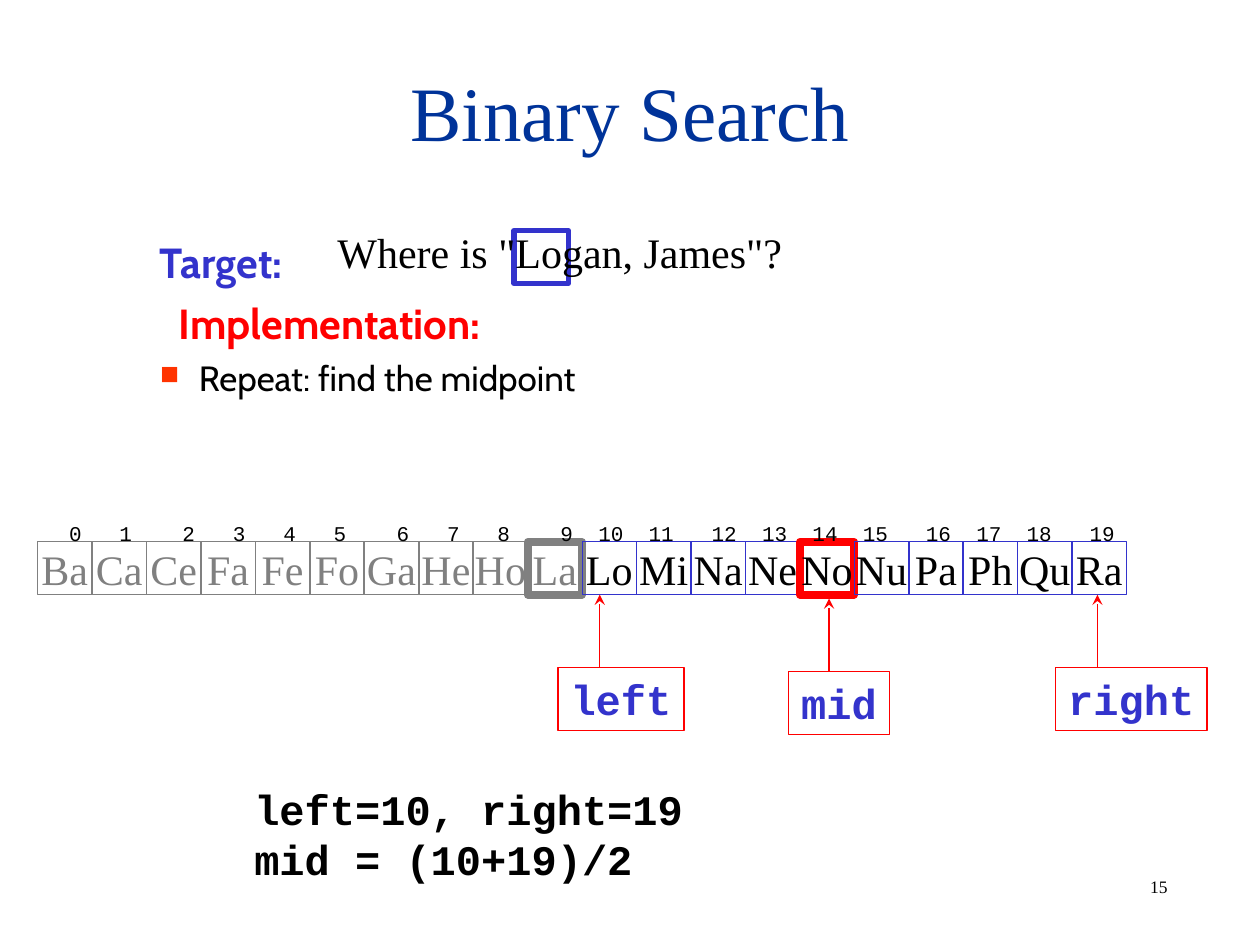
from lxml.etree import SubElement
from pptx import Presentation
from pptx.dml.color import RGBColor
from pptx.enum.shapes import MSO_CONNECTOR, MSO_SHAPE
from pptx.enum.text import MSO_ANCHOR, MSO_AUTO_SIZE, PP_ALIGN
from pptx.oxml.ns import qn
from pptx.util import Inches, Pt

COLORS = {"title": "003399", "blue": "3333CC", "red": "FF0000",
          "gray": "808080", "black": "000000", "bullet": "FF3300"}
SERIF, MONO, SANS = "Times New Roman", "Courier New", "Cabin"

NAMES = ["Ba", "Ca", "Ce", "Fa", "Fe", "Fo", "Ga", "He", "Ho", "La",
         "Lo", "Mi", "Na", "Ne", "No", "Nu", "Pa", "Ph", "Qu", "Ra"]
LEFT, MID, PREVIOUS_MID = 10, 14, 9
# Column of each index label, counted in characters of the fixed-width font
INDEX_COLUMNS = [0, 4, 9, 13, 17, 21, 26, 30, 34, 39,
                 42, 46, 51, 55, 59, 63, 68, 72, 76, 81]
CHARACTER_WIDTH = 0.1
CELL_LEFT, CELL_TOP, CELL_PITCH = 0.3, 4.3, 8.21 / 19
CELL_WIDTH, CELL_HEIGHT = 0.43, 0.42
# Label, box left, box top, box width, arrow x
POINTERS = [("left", 4.43, 5.3, 1.0, 4.76),
            ("right", 8.38, 5.3, 1.2, 8.71),
            ("mid", 6.26, 5.33, 0.8, 6.58)]
ARROW_LENGTH = 0.58
# Text, size, colour, bold, first line indent, space before
OUTLINE = [("Target:", 24, "blue", True, -0.31, 6),
           ("Implementation:", 24, "red", True, -0.16, 6),
           ("Repeat: find the midpoint", 20, "black", False, -0.31, 5)]
# Text lines, position and size, point size, font, bold
NOTES = [(['Where is "Logan, James"?'], (2.58, 1.75, 3.81, 0.5), 24, SERIF, False),
         (["left=10, right=19", "mid = (10+19)/2"], (1.92, 6.17, 3.6, 0.9), 24, MONO, True),
         (["15"], (9.03, 6.9, 0.78, 0.27), 10, SERIF, False)]


def rgb(color):
    return RGBColor.from_string(COLORS[color])


def add_run(paragraph, text, size, font, color, bold=False):
    run = paragraph.add_run()
    run.text = text
    run.font.size = Pt(size)
    run.font.name = font
    run.font.bold = bold
    run.font.color.rgb = rgb(color)


def add_box(slide, place, color, width):
    """Add an unfilled, outlined rectangle."""
    shape = slide.shapes.add_shape(MSO_SHAPE.RECTANGLE, *map(Inches, place))
    shape.shadow.inherit = False
    shape.fill.background()
    shape.line.color.rgb = rgb(color)
    shape.line.width = Pt(width)
    return shape


def add_text_box(slide, place, wrap=False):
    frame = slide.shapes.add_textbox(*map(Inches, place)).text_frame
    frame.word_wrap = wrap
    return frame


def add_title(slide):
    title = slide.shapes.title
    title.left, title.top, title.width, title.height = map(Inches, (0.75, 0.25, 8.5, 1.25))
    title.text_frame.vertical_anchor = MSO_ANCHOR.MIDDLE
    paragraph = title.text_frame.paragraphs[0]
    paragraph.alignment = PP_ALIGN.CENTER
    add_run(paragraph, "Binary Search", 44, SERIF, "title")


def add_bullet(paragraph):
    properties = paragraph._p.get_or_add_pPr()
    color = SubElement(properties, qn("a:buClr"))
    SubElement(color, qn("a:srgbClr"), val=COLORS["bullet"])
    SubElement(properties, qn("a:buSzPct"), val="75000")
    SubElement(properties, qn("a:buChar"), char="■")


def add_outline(slide):
    frame = add_text_box(slide, (0.67, 1.83, 8.75, 4.5), wrap=True)
    for number, (text, size, color, bold, indent, space) in enumerate(OUTLINE):
        paragraph = frame.add_paragraph() if number else frame.paragraphs[0]
        paragraph.space_before = Pt(space)
        properties = paragraph._p.get_or_add_pPr()
        properties.set("marL", str(Inches(0.81)))
        properties.set("indent", str(Inches(indent)))
        add_run(paragraph, text, size, SANS, color, bold)
    add_bullet(paragraph)


def add_cells(slide):
    for index, name in enumerate(NAMES):
        color = "gray" if index < LEFT else "blue"
        outline = "red" if index == MID else color
        width = 4.5 if index in (MID, PREVIOUS_MID) else 0.75
        place = (CELL_LEFT + index * CELL_PITCH, CELL_TOP, CELL_WIDTH, CELL_HEIGHT)
        frame = add_box(slide, place, outline, width).text_frame
        frame.word_wrap = False
        frame.vertical_anchor = MSO_ANCHOR.MIDDLE
        paragraph = frame.paragraphs[0]
        paragraph.alignment = PP_ALIGN.CENTER
        add_run(paragraph, name, 24, SERIF, "gray" if index < LEFT else "black")


def add_index_labels(slide):
    """Write all indexes on one line, each at its own tab stop."""
    paragraph = add_text_box(slide, (0.45, 4.08, 8.6, 0.3), wrap=True).paragraphs[0]
    tabs = SubElement(paragraph._p.get_or_add_pPr(), qn("a:tabLst"))
    for column in INDEX_COLUMNS[1:]:
        SubElement(tabs, qn("a:tab"), pos=str(Inches(column * CHARACTER_WIDTH)), algn="l")
    labels = "\t".join(str(index) for index in range(len(NAMES)))
    add_run(paragraph, labels, 12, MONO, "black")


def add_pointers(slide):
    for label, left, top, width, arrow_x in POINTERS:
        frame = add_box(slide, (left, top, width, 0.5), "red", 0.75).text_frame
        frame.word_wrap = False
        frame.auto_size = MSO_AUTO_SIZE.SHAPE_TO_FIT_TEXT
        frame.vertical_anchor = MSO_ANCHOR.TOP
        frame.paragraphs[0].alignment = PP_ALIGN.LEFT
        add_run(frame.paragraphs[0], label, 24, MONO, "blue", True)
        ends = (arrow_x, top, arrow_x, top - ARROW_LENGTH)
        arrow = slide.shapes.add_connector(MSO_CONNECTOR.STRAIGHT, *map(Inches, ends))
        arrow.line.color.rgb = rgb("red")
        arrow.line.width = Pt(0.75)
        SubElement(arrow.line._get_or_add_ln(), qn("a:tailEnd"), type="stealth")
        SubElement(arrow._element.spPr, qn("a:effectLst"))


def add_notes(slide):
    for lines, place, size, font, bold in NOTES:
        frame = add_text_box(slide, place)
        frame.auto_size = MSO_AUTO_SIZE.SHAPE_TO_FIT_TEXT
        for number, line in enumerate(lines):
            paragraph = frame.add_paragraph() if number else frame.paragraphs[0]
            add_run(paragraph, line, size, font, "black", bold)


def main():
    presentation = Presentation()
    presentation.slide_width, presentation.slide_height = Inches(10), Inches(7.5)
    slide = presentation.slides.add_slide(presentation.slide_layouts[5])
    add_title(slide)
    add_outline(slide)
    add_box(slide, (4.08, 1.83, CELL_WIDTH, CELL_HEIGHT), "blue", 3)
    add_cells(slide)
    add_pointers(slide)
    add_index_labels(slide)
    add_notes(slide)
    presentation.save("out.pptx")


if __name__ == "__main__":
    main()
